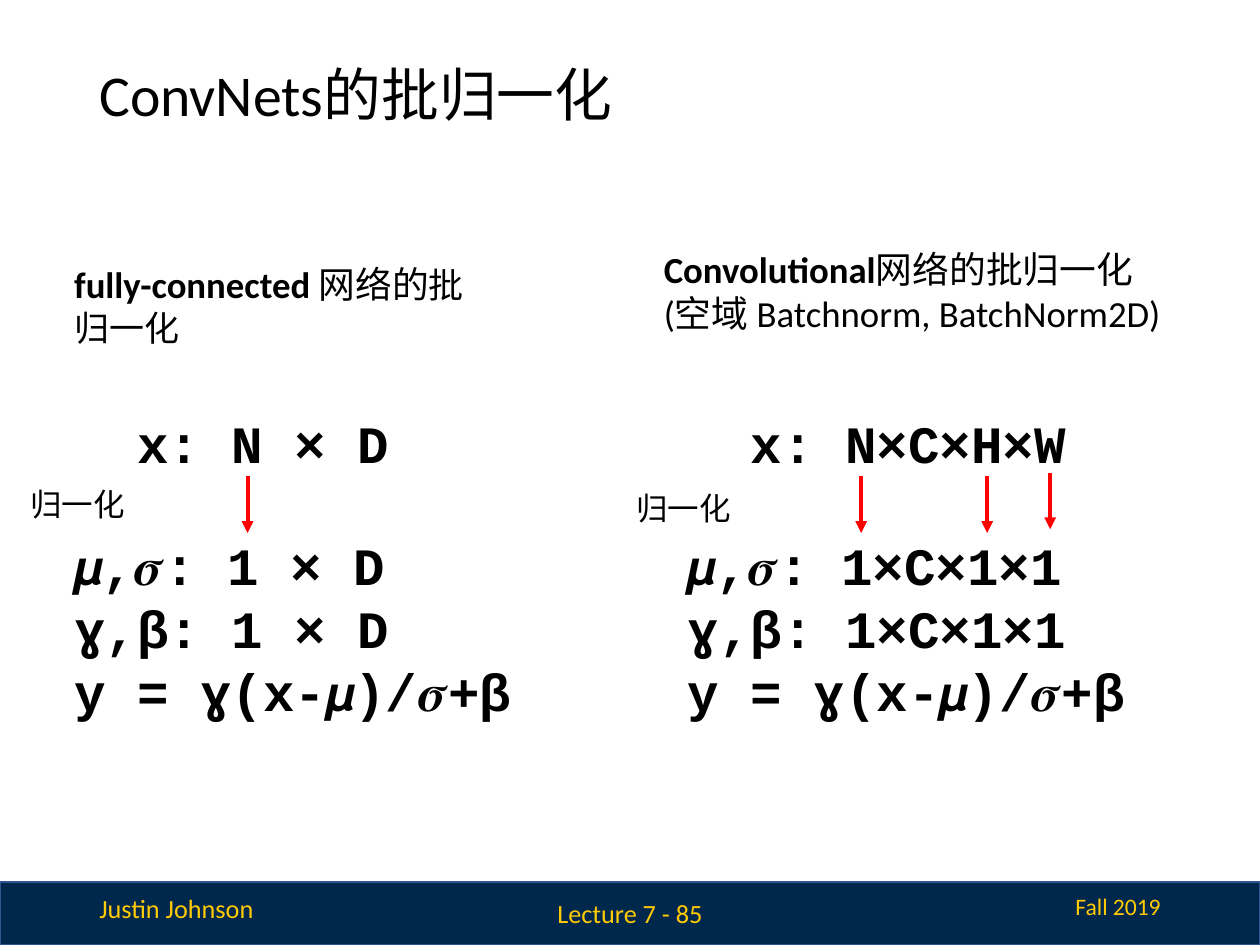
from dataclasses import dataclass

from lxml import etree
from pptx import Presentation
from pptx.dml.color import RGBColor
from pptx.enum.shapes import MSO_CONNECTOR, MSO_SHAPE
from pptx.enum.text import MSO_ANCHOR, PP_ALIGN
from pptx.oxml.ns import qn
from pptx.util import Inches, Pt

STRAIGHT, RECTANGLE = MSO_CONNECTOR.STRAIGHT, MSO_SHAPE.RECTANGLE
TOP, MIDDLE = MSO_ANCHOR.TOP, MSO_ANCHOR.MIDDLE
LEFT, CENTER, RIGHT = PP_ALIGN.LEFT, PP_ALIGN.CENTER, PP_ALIGN.RIGHT


@dataclass(frozen=True)
class Theme:
    body: str = "Calibri"
    mono: str = "Courier New"
    ink: str = "000000"
    band: str = "00274C"
    band_edge: str = "325491"
    maize: str = "FFCB05"
    arrow: str = "FF0000"
    title: float = 33
    formula: float = 30
    heading: float = 21
    heading_tail: float = 20
    label: float = 18
    footer: float = 15
    term: float = 13.5


THEME = Theme()
SLIDE_W, SLIDE_H = 10, 7.5
MARGIN = 0.69
INSET = 0.1
CHAR_W = 0.6 * THEME.formula / 72      # advance of one monospaced character
LINE_H = 1.13 * THEME.formula          # one formula line, in points
X_INDENT = 2                           # characters before "x:"
FORMULA_TOP, FORMULA_H = 3.16, 2.69
ARROW_TOP, ARROW_H = 3.78, 0.45

TITLE = "ContNets"[:0] + "ConvNets的批归一化"
NORMALIZE = "归一化"

# Heading runs are (text, size, bold); arrows are (character column, vertical shift).
PANELS = [
    {
        "heading": [[("fully-connected ", THEME.heading, True),
                     ("网络的", THEME.heading, False),
                     ("批归一化", THEME.heading_tail, False)]],
        "heading_box": (0.49, 1.98, 3.51, 0.89),
        "formulas": ["x: N × D", "𝞵,𝝈: 1 × D", "ɣ,β: 1 × D", "y = ɣ(x-𝞵)/𝝈+β"],
        "formula_left": 0.49, "formula_width": 4.05,
        "arrows": [(5, 0)],
        "label_box": (0.14, 3.75, 1.55, 0.5),
    },
    {
        "heading": [[("Convolutional", THEME.heading, True),
                     ("网络的批归一化", THEME.heading, False)],
                    [("(空域 Batchnorm, BatchNorm2D)", THEME.heading, False)]],
        "heading_box": (5.17, 1.86, 4.47, 1.11),
        "formulas": ["x: N×C×H×W", "𝞵,𝝈: 1×C×1×1", "ɣ,β: 1×C×1×1", "y = ɣ(x-𝞵)/𝝈+β"],
        "formula_left": 5.36, "formula_width": 4.1,
        "arrows": [(5, 0), (9, 0), (11, -0.03)],
        "label_box": (4.95, 3.78, 1.55, 0.5),
    },
]

# (text, size, box, alignment, anchor)
FOOTER = [
    ("Justin Johnson", THEME.footer, (MARGIN, 7.03, 1.44, 0.35), LEFT, TOP),
    ("Fall 2019", THEME.term, (SLIDE_W - MARGIN - 1.98, 7.03, 1.98, 0.33), RIGHT, TOP),
    ("Lecture 7 - 85", THEME.footer, ((SLIDE_W - 2.7) / 2, 7.05, 2.7, 0.4), CENTER, MIDDLE),
]


def rgb(value):
    return RGBColor.from_string(value)


def add_text(slide, box, paragraphs, color=THEME.ink, font=THEME.body,
             align=LEFT, anchor=TOP, inset_y=INSET):
    """Add a text box from paragraphs of (text, size, bold) runs; return its paragraphs."""
    frame = slide.shapes.add_textbox(*map(Inches, box)).text_frame
    frame.word_wrap = True
    frame.vertical_anchor = anchor
    frame.margin_left = frame.margin_right = Inches(INSET)
    frame.margin_top = frame.margin_bottom = Inches(inset_y)
    for index, runs in enumerate(paragraphs):
        paragraph = frame.add_paragraph() if index else frame.paragraphs[0]
        paragraph.alignment = align
        for text, size, bold in runs:
            run = paragraph.add_run()
            run.text = text
            run.font.name, run.font.size, run.font.bold = font, Pt(size), bold
            run.font.color.rgb = rgb(color)
    return frame.paragraphs


def add_arrow(slide, x, top):
    arrow = slide.shapes.add_connector(
        STRAIGHT, Inches(x), Inches(top), Inches(x), Inches(top + ARROW_H))
    arrow.line.color.rgb = rgb(THEME.arrow)
    arrow.line.width = Pt(2.25)
    etree.SubElement(arrow.line._get_or_add_ln(), qn("a:tailEnd"), type="triangle")
    etree.SubElement(arrow._element.spPr, qn("a:effectLst"))


def add_panel(slide, panel):
    left = panel["formula_left"]
    lines = add_text(slide, (left, FORMULA_TOP, panel["formula_width"], FORMULA_H),
                     [[(line, THEME.formula, True)] for line in panel["formulas"]],
                     font=THEME.mono)
    indent = Inches(X_INDENT * CHAR_W)
    lines[0]._p.get_or_add_pPr().set("marL", str(int(indent)))
    lines[1].space_before = Pt(LINE_H)
    for column, shift in panel["arrows"]:
        add_arrow(slide, left + INSET + (column + 0.5) * CHAR_W, ARROW_TOP + shift)
    add_text(slide, panel["label_box"], [[(NORMALIZE, THEME.label, False)]])
    add_text(slide, panel["heading_box"], panel["heading"])


def add_footer(slide):
    band_h = SLIDE_H / 15
    band = slide.shapes.add_shape(
        RECTANGLE, 0, Inches(SLIDE_H - band_h), Inches(SLIDE_W), Inches(band_h))
    band.shadow.inherit = False
    band.fill.solid()
    band.fill.fore_color.rgb = rgb(THEME.band)
    band.line.color.rgb = rgb(THEME.band_edge)
    band.line.width = Pt(1)
    for text, size, box, align, anchor in FOOTER:
        add_text(slide, box, [[(text, size, False)]], color=THEME.maize,
                 align=align, anchor=anchor, inset_y=INSET / 2)


def main():
    deck = Presentation()
    deck.slide_width, deck.slide_height = Inches(SLIDE_W), Inches(SLIDE_H)
    slide = deck.slides.add_slide(deck.slide_layouts[6])
    add_footer(slide)
    title = add_text(slide, (MARGIN, 0.4, SLIDE_W - 2 * MARGIN, SLIDE_H / 10),
                     [[(TITLE, THEME.title, False)]], anchor=MIDDLE, inset_y=INSET / 2)
    title[0].line_spacing = 0.9
    for panel in PANELS:
        add_panel(slide, panel)
    deck.save("out.pptx")


if __name__ == "__main__":
    main()
